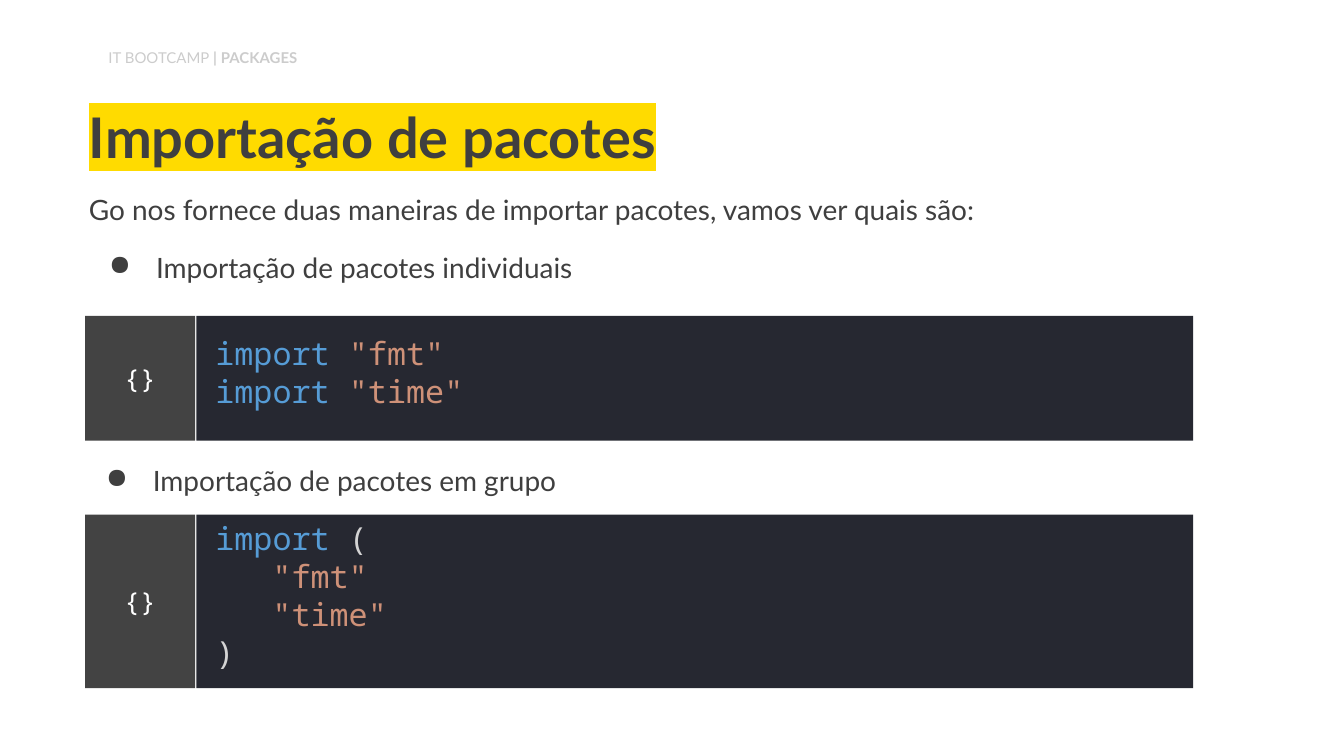
"""Build the slide on importing packages in Go."""
from lxml.etree import SubElement
from pptx import Presentation
from pptx.dml.color import RGBColor
from pptx.enum.shapes import MSO_SHAPE
from pptx.enum.text import MSO_ANCHOR, MSO_AUTO_SIZE, PP_ALIGN
from pptx.oxml.ns import qn
from pptx.util import Cm, Pt

DARK, WHITE = "3F3F3F", "FFFFFF"
KEYWORD, STRING, PLAIN = "569CD6", "CE9178", "D4D4D4"
CODE_FONT = "Noto Sans Mono"


def set_frame(shape, anchor, left=0.25, top=0.25, bottom=0.25):
    """Set the wrapping, anchor and margins in centimetres; return the text frame."""
    frame = shape.text_frame
    frame.word_wrap = True
    frame.auto_size = MSO_AUTO_SIZE.NONE
    frame.vertical_anchor = anchor
    frame.margin_left, frame.margin_right = Cm(left), Cm(0.25)
    frame.margin_top, frame.margin_bottom = Cm(top), Cm(bottom)
    return frame


def write(paragraph, runs, size, font="Lato", align=PP_ALIGN.LEFT):
    """Fill a paragraph with (text, colour) runs in one font."""
    paragraph.alignment = align
    paragraph.font.size = Pt(size)
    paragraph.font.name = font
    for text, colour in runs:
        run = paragraph.add_run()
        run.text = text
        run.font.color.rgb = RGBColor.from_string(colour)


presentation = Presentation()
presentation.slide_width, presentation.slide_height = Cm(25.4), Cm(14.29)
slide = presentation.slides.add_slide(presentation.slide_layouts[5])

title = slide.shapes.title
title.left, title.top, title.width, title.height = Cm(1.43), Cm(1.73), Cm(21.97), Cm(1.75)
paragraph = set_frame(title, MSO_ANCHOR.BOTTOM).paragraphs[0]
write(paragraph, [("Importação de pacotes", DARK)], 30)
paragraph.font.bold = True
paragraph.line_spacing = 0.9
highlight = SubElement(paragraph.runs[0].font._element, qn("a:highlight"))
SubElement(highlight, qn("a:srgbClr"), val="FFDB00")

header = slide.shapes.add_textbox(Cm(1.8), Cm(0.79), Cm(7.98), Cm(0.69))
paragraph = set_frame(header, MSO_ANCHOR.TOP, top=0.13, bottom=0.13).paragraphs[0]
write(paragraph, [("IT BOOTCAMP", "CCCCCC"), (" | PACKAGES", "CCCCCC")], 8)
paragraph.runs[1].font.bold = True

introduction = slide.shapes.add_textbox(Cm(1.43), Cm(3.3), Cm(21.3), Cm(2.57))
introduction_frame = set_frame(introduction, MSO_ANCHOR.TOP)
group_label = slide.shapes.add_textbox(Cm(1.37), Cm(8.41), Cm(21.4), Cm(1.98))
group_frame = set_frame(group_label, MSO_ANCHOR.TOP)

body_lines = [
    (introduction_frame.paragraphs[0], 10, False,
     "Go nos fornece duas maneiras de importar pacotes, vamos ver quais são:"),
    (introduction_frame.add_paragraph(), 10, True, "Importação de pacotes individuais"),
    (group_frame.paragraphs[0], 0, True, "Importação de pacotes em grupo"),
]
for paragraph, space_before, bulleted, text in body_lines:
    write(paragraph, [(text, DARK)], 15)
    paragraph.line_spacing = 1.15
    paragraph.space_before = Pt(space_before)
    if bulleted:
        properties = paragraph._p.get_or_add_pPr()
        properties.set("marL", str(Cm(1.27)))
        properties.set("indent", str(-Cm(0.89)))
        bullet = SubElement(properties, qn("a:buChar"), char="●")
        properties.find(qn("a:defRPr")).addprevious(bullet)

code_blocks = [
    (5.97, 2.36, [
        (0, [("import ", KEYWORD), ('"fmt"', STRING)]),
        (0, [("import ", KEYWORD), ('"time"', STRING)]),
    ]),
    (9.73, 3.28, [
        (0, [("import", KEYWORD), (" (", PLAIN)]),
        (1.08, [('"fmt"', STRING)]),
        (1.08, [('"time"', STRING)]),
        (0, [(")", PLAIN)]),
    ]),
]
for top, height, code_lines in code_blocks:
    panels = []
    for left, width, fill in [(3.71, 18.84, "262831"), (1.61, 2.08, "434343")]:
        panel = slide.shapes.add_shape(
            MSO_SHAPE.RECTANGLE, Cm(left), Cm(top), Cm(width), Cm(height))
        panel.shadow.inherit = False
        panel.fill.solid()
        panel.fill.fore_color.rgb = RGBColor.from_string(fill)
        panel.line.fill.background()
        panels.append(panel)
    code_panel, label_panel = panels

    code_frame = set_frame(code_panel, MSO_ANCHOR.MIDDLE, left=0.36, top=0)
    for number, (indent, runs) in enumerate(code_lines):
        paragraph = code_frame.add_paragraph() if number else code_frame.paragraphs[0]
        write(paragraph, runs, 17, CODE_FONT)
        paragraph._p.get_or_add_pPr().set("marL", str(Cm(indent)))

    label_frame = set_frame(label_panel, MSO_ANCHOR.MIDDLE)
    write(label_frame.paragraphs[0], [("{}", WHITE)], 14, CODE_FONT, PP_ALIGN.CENTER)

presentation.save("out.pptx")
